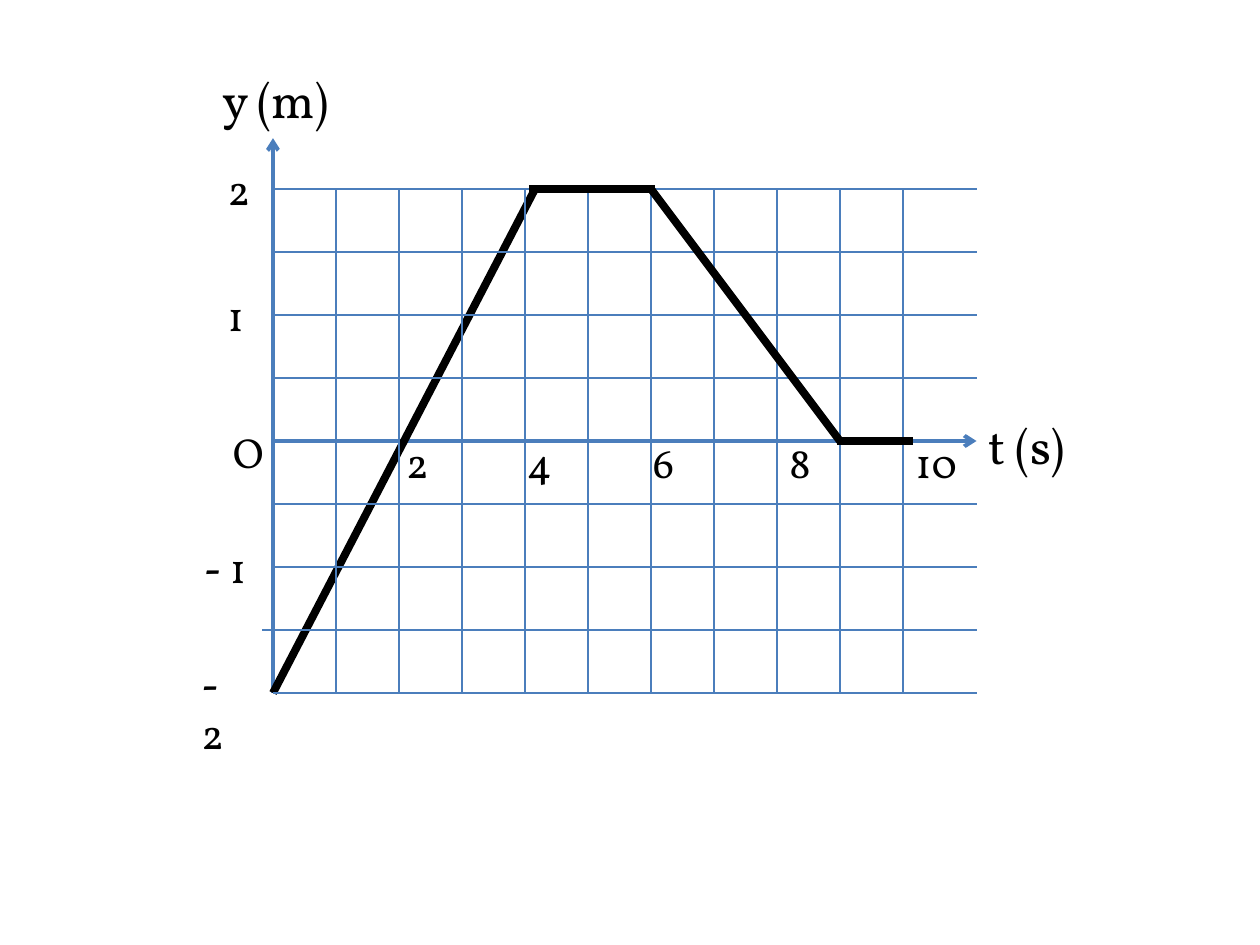
from dataclasses import dataclass

import lxml.etree
import pptx
import pptx.dml.color
import pptx.enum.shapes
import pptx.enum.text
import pptx.oxml.ns
import pptx.shapes.connector
import pptx.shapes.group
import pptx.util

Pt = pptx.util.Pt
BLUE = pptx.dml.color.RGBColor(0x4B, 0x7E, 0xBC)
BLACK = pptx.dml.color.RGBColor(0, 0, 0)
FONT = "Vollkorn"

# Axes and grid, in points
ORIGIN_X, ORIGIN_Y = 156, 252
SECOND, METRE = 36, 72
GRID_RIGHT = 558
GRID_TOP, GRID_BOTTOM = ORIGIN_Y - 2 * METRE, ORIGIN_Y + 2 * METRE
AXIS_TOP = 79
GRID_STEP = 36


@dataclass(frozen=True)
class Segment:
    """A straight part of the motion, in seconds and metres."""
    start_time: float
    start_height: float
    end_time: float
    end_height: float


@dataclass(frozen=True)
class Label:
    text: str
    left: float
    top: float
    width: float
    size: float = 24
    minus: bool = False


RISE = Segment(0, -2, 4.16, 2)
LATER_SEGMENTS = [
    Segment(4.06, 2, 6.06, 2),
    Segment(6, 2, 9, 0),
    Segment(8.96, 0, 10.16, 0),
]

TIME_LABELS = [
    Label("2", 225, 246, 27),
    Label("4", 294, 246, 27),
    Label("6", 366, 246, 27),
    Label("8", 444, 246, 27),
    Label("10", 516, 246, 39),
]
HEIGHT_LABELS = [
    Label("2", 123, 90, 27),
    Label("1", 123, 162, 27),
    Label(" 1", 109.5, 306, 41, minus=True),
    Label(" 2", 108, 372, 41, minus=True),
]
AXIS_LABELS = [
    Label("O", 126, 240, 34),
    Label("t (s)", 558, 234, 62, 28),
    Label("y (m)", 120, 36, 81, 28),
]


def draw_line(
    graph: pptx.shapes.group.GroupShape,
    start: tuple[float, float],
    end: tuple[float, float],
    colour: pptx.dml.color.RGBColor = BLUE,
    weight: float = 0.75,
) -> pptx.shapes.connector.Connector:
    line = graph.shapes.add_connector(
        pptx.enum.shapes.MSO_CONNECTOR.STRAIGHT,
        *(Pt(value) for value in (*start, *end)),
    )
    line.line.color.rgb = colour
    line.line.width = Pt(weight)
    lxml.etree.SubElement(line._element.spPr, pptx.oxml.ns.qn("a:effectLst"))
    return line


def add_arrowhead(line: pptx.shapes.connector.Connector) -> None:
    """Put an open arrowhead at the end of the line."""
    outline = line.line._get_or_add_ln()
    lxml.etree.SubElement(outline, pptx.oxml.ns.qn("a:tailEnd"), type="arrow")


def draw_segment(graph: pptx.shapes.group.GroupShape, segment: Segment) -> None:
    start = (ORIGIN_X + segment.start_time * SECOND, ORIGIN_Y - segment.start_height * METRE)
    end = (ORIGIN_X + segment.end_time * SECOND, ORIGIN_Y - segment.end_height * METRE)
    draw_line(graph, start, end, colour=BLACK, weight=4.5)


def add_span(para, text: str, *, size: float, bold: bool = False) -> None:
    span = para.add_run()
    span.text = text
    span.font.name = FONT
    span.font.size = Pt(size)
    span.font.bold = bold
    span.font.color.rgb = BLACK


def draw_label(graph: pptx.shapes.group.GroupShape, label: Label) -> None:
    height = 36 if label.size == 24 else 41
    box = graph.shapes.add_textbox(
        Pt(label.left), Pt(label.top), Pt(label.width), Pt(height)
    )
    box.text_frame.word_wrap = True
    box.text_frame.auto_size = pptx.enum.text.MSO_AUTO_SIZE.SHAPE_TO_FIT_TEXT
    para = box.text_frame.paragraphs[0]
    if label.minus:
        add_span(para, "-", size=label.size, bold=True)
    add_span(para, label.text, size=label.size)


def draw_grid(graph: pptx.shapes.group.GroupShape) -> None:
    for row in range(9):
        y = GRID_TOP + row * GRID_STEP
        if y != ORIGIN_Y:
            draw_line(graph, (ORIGIN_X, y), (GRID_RIGHT, y))
    for column in range(1, 11):
        x = ORIGIN_X + column * GRID_STEP
        draw_line(graph, (x, GRID_TOP), (x, GRID_BOTTOM))


def main() -> None:
    deck = pptx.Presentation()
    deck.slide_width, deck.slide_height = Pt(720), Pt(540)
    page = deck.slides.add_slide(deck.slide_layouts[6])
    graph = page.shapes.add_group_shape()

    height_axis = draw_line(graph, (ORIGIN_X, GRID_BOTTOM), (ORIGIN_X, AXIS_TOP), weight=2.25)
    time_axis = draw_line(graph, (ORIGIN_X, ORIGIN_Y), (GRID_RIGHT, ORIGIN_Y), weight=2.25)
    for axis in (height_axis, time_axis):
        add_arrowhead(axis)
    draw_segment(graph, RISE)

    tick_y = GRID_BOTTOM - GRID_STEP
    draw_line(graph, (150, tick_y), (164, tick_y), weight=1.5)
    draw_grid(graph)
    for segment in LATER_SEGMENTS:
        draw_segment(graph, segment)
    for label in AXIS_LABELS + HEIGHT_LABELS + TIME_LABELS:
        draw_label(graph, label)

    deck.save("out.pptx")


if __name__ == "__main__":
    main()
